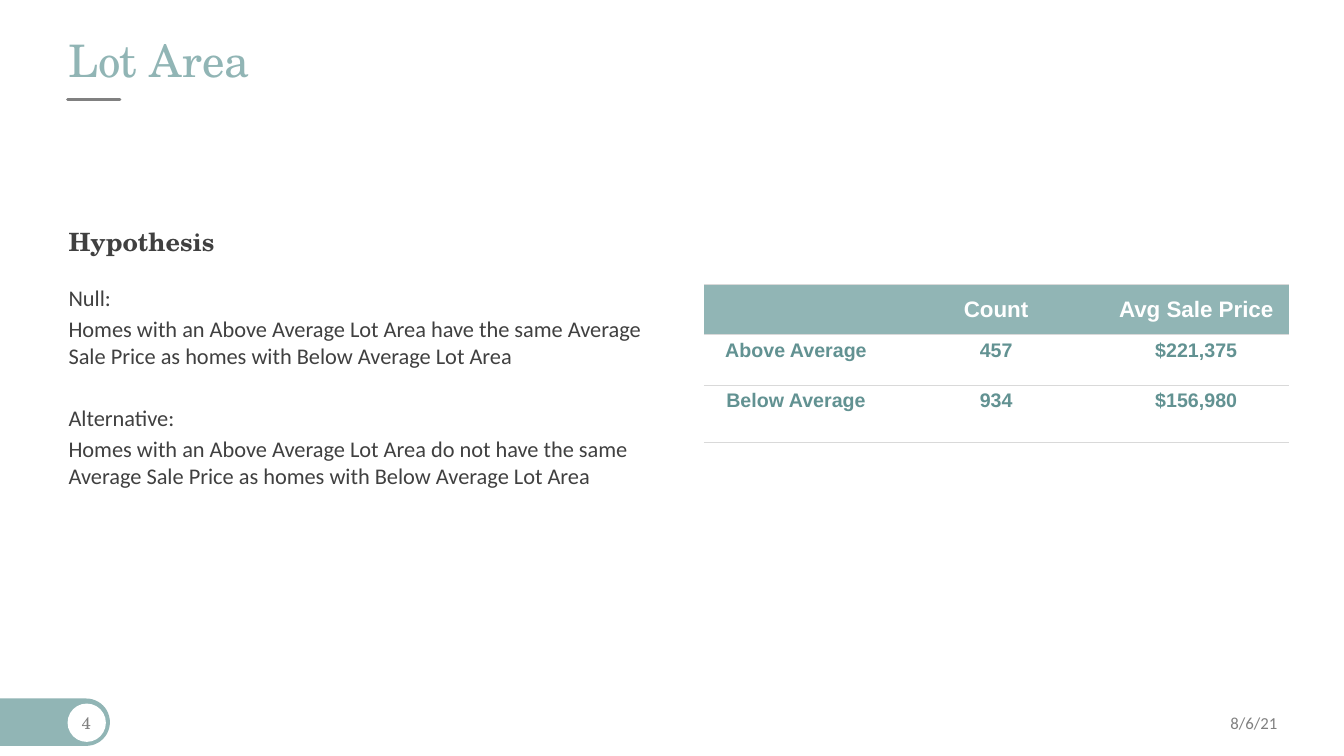
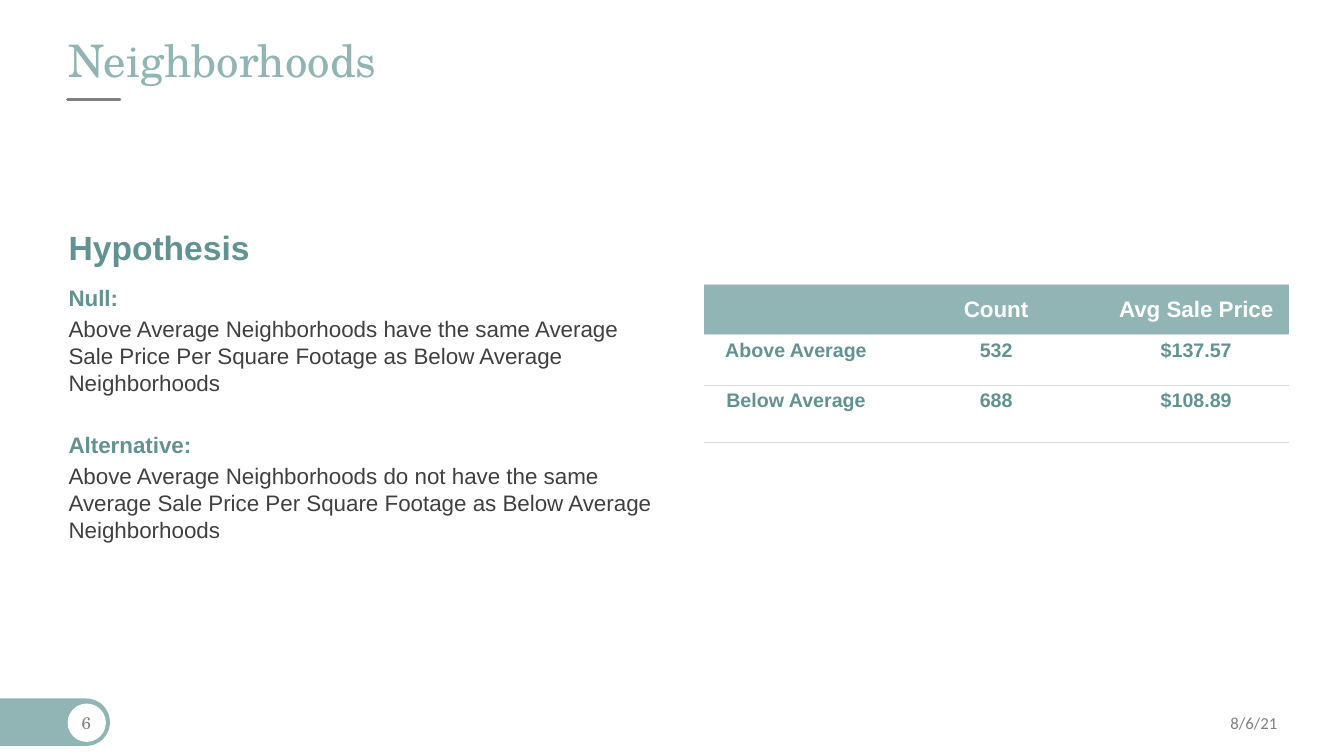
from dataclasses import dataclass

from lxml.etree import SubElement
from pptx import Presentation
from pptx.dml.color import RGBColor
from pptx.enum.shapes import MSO_CONNECTOR as Connector, MSO_SHAPE as Preset
from pptx.enum.text import MSO_ANCHOR as Anchor, PP_ALIGN as Align
from pptx.oxml import parse_xml
from pptx.oxml.ns import nsdecls, qn
from pptx.util import Inches, Pt

# Palette and fonts
TEAL, DARK_TEAL = "91B5B5", "629292"
INK, GRAY, RULE, WHITE = "404040", "808080", "D9D9D9", "FFFFFF"
SERIF, SANS, BODY = "TeX Gyre Schola", "Arial", "Calibri"

# Shared layout
LEFT, CONTENT_TOP = 0.68, 2.82
TABLE_LEFT = 6.98
COLUMN_WIDTHS = (1.83, 2.14, 1.83)
ROW_HEIGHTS = (0.5, 0.5, 0.57)
HEADER = ("", "Count", "Avg Sale Price")
DATE = "8/6/21"
PLAIN_TABLE_STYLE = "{2D5ABB26-0587-4C30-8999-92F81FD0307C}"


@dataclass(frozen=True)
class TextStyle:
    font: str
    size: float
    color: str
    bold: bool = False


@dataclass(frozen=True)
class HypothesisSlide:
    number: int
    title: str
    heading: TextStyle
    label: TextStyle
    statement: TextStyle
    null: str
    alternative: str
    rows: tuple


TITLE = TextStyle(SERIF, 32, TEAL)
PAGE_NUMBER = TextStyle(SERIF, 12, GRAY)
DATE_STYLE = TextStyle(BODY, 12, GRAY)
TABLE_HEADER = TextStyle(SANS, 16, WHITE, True)
TABLE_BODY = TextStyle(SANS, 14, DARK_TEAL, True)

SLIDES = (
    HypothesisSlide(
        4, "Lot Area",
        heading=TextStyle(SERIF, 18, INK, True),
        label=TextStyle(BODY, 16, INK),
        statement=TextStyle(BODY, 16, INK),
        null="Homes with an Above Average Lot Area have the same Average "
             "Sale Price as homes with Below Average Lot Area",
        alternative="Homes with an Above Average Lot Area do not have the same "
                    "Average Sale Price as homes with Below Average Lot Area",
        rows=(("Above Average", "457", "$221,375"),
              ("Below Average", "934", "$156,980")),
    ),
    HypothesisSlide(
        6, "Neighborhoods",
        heading=TextStyle(SANS, 24, DARK_TEAL, True),
        label=TextStyle(SANS, 16, DARK_TEAL, True),
        statement=TextStyle(SANS, 16, INK),
        null="Above Average Neighborhoods have the same Average Sale Price "
             "Per Square Footage as Below Average Neighborhoods",
        alternative="Above Average Neighborhoods do not have the same Average Sale "
                    "Price Per Square Footage as Below Average Neighborhoods",
        rows=(("Above Average", "532", "$137.57"),
              ("Below Average", "688", "$108.89")),
    ),
)


def rgb(color: str) -> RGBColor:
    return RGBColor.from_string(color)


def write(paragraph, text: str, style: TextStyle, align=Align.LEFT) -> None:
    paragraph.text = text
    paragraph.alignment = align
    for run in paragraph.runs:
        run.font.name = style.font
        run.font.size = Pt(style.size)
        run.font.bold = style.bold
        run.font.color.rgb = rgb(style.color)


def add_text(slide, box: tuple, lines: list, align=Align.LEFT,
             anchor=Anchor.TOP, wrap: bool = True):
    """Add a text box without margins; lines are (text, style) pairs."""
    frame = slide.shapes.add_textbox(*map(Inches, box)).text_frame
    frame.margin_left = frame.margin_right = 0
    frame.margin_top = frame.margin_bottom = 0
    frame.word_wrap = wrap
    frame.vertical_anchor = anchor
    frame.text = "\n".join(text for text, _ in lines)
    for paragraph, (text, style) in zip(frame.paragraphs, lines):
        write(paragraph, text, style, align)
    return frame


def add_filled(slide, preset, box: tuple, color: str):
    shape = slide.shapes.add_shape(preset, *map(Inches, box))
    shape.shadow.inherit = False
    shape.fill.solid()
    shape.fill.fore_color.rgb = rgb(color)
    shape.line.fill.background()
    return shape


def add_frame(slide, title: str, number: int) -> None:
    """Draw the title, its rule and the footer."""
    # Footer tab with page number circle
    tab = add_filled(slide, Preset.ROUND_2_SAME_RECTANGLE, (0.31, 6.62, 0.47, 1.09), TEAL)
    tab.adjustments[0], tab.adjustments[1] = 0.5, 0
    tab.rotation = 90
    add_filled(slide, Preset.OVAL, (0.67, 6.98, 0.38, 0.38), WHITE)

    # Rule under the title
    rule = slide.shapes.add_connector(
        Connector.STRAIGHT, Inches(0.67), Inches(0.99), Inches(1.19), Inches(0.99))
    rule.line.color.rgb = rgb(GRAY)
    rule.line.width = Pt(2)
    properties = rule._element.spPr
    properties.find(qn("a:ln")).set("cap", "rnd")
    SubElement(properties, qn("a:effectLst"))

    # Title, date and page number
    title_frame = add_text(slide, (LEFT, 0.1, 11.97, 0.77), [(title, TITLE)],
                           anchor=Anchor.BOTTOM)
    title_frame.paragraphs[0].line_spacing = 0.9
    add_text(slide, (11.55, 7.07, 1.12, 0.2), [(DATE, DATE_STYLE)],
             Align.RIGHT, Anchor.MIDDLE)
    add_text(slide, (0.81, 7.07, 0.09, 0.2), [(str(number), PAGE_NUMBER)],
             Align.CENTER, Anchor.MIDDLE, wrap=False)


def add_hypothesis(slide, content: HypothesisSlide) -> None:
    add_text(slide, (LEFT, 2.25, 2.88, 0.4), [("Hypothesis", content.heading)])
    frame = add_text(slide, (LEFT, CONTENT_TOP, 5.82, 2.59), [
        ("Null:", content.label),
        (content.null, content.statement),
        ("Alternative:", content.label),
        (content.alternative, content.statement),
    ])
    for paragraph in frame.paragraphs:
        paragraph.space_after = Pt(3)
    frame.paragraphs[2].space_before = Pt(22)


def set_borders(cell) -> None:
    """Rule the cell above and below."""
    properties = cell._tc.get_or_add_tcPr()
    for index, side in enumerate(("lnT", "lnB")):
        properties.insert(index, parse_xml(
            f'<a:{side} {nsdecls("a")} w="{Pt(0.5)}"><a:solidFill>'
            f'<a:srgbClr val="{RULE}"/></a:solidFill></a:{side}>'))


def add_price_table(slide, rows: tuple) -> None:
    grid = (HEADER, *rows)
    graphic = slide.shapes.add_table(
        len(grid), len(HEADER), Inches(TABLE_LEFT), Inches(CONTENT_TOP),
        Inches(sum(COLUMN_WIDTHS)), Inches(sum(ROW_HEIGHTS)))
    table = graphic.table
    table.horz_banding = False
    table._tbl.tblPr.find(qn("a:tableStyleId")).text = PLAIN_TABLE_STYLE
    for column, width in zip(table.columns, COLUMN_WIDTHS):
        column.width = Inches(width)
    for row, height in zip(table.rows, ROW_HEIGHTS):
        row.height = Inches(height)
    for row_index, values in enumerate(grid):
        is_header = row_index == 0
        for column_index, value in enumerate(values):
            cell = table.cell(row_index, column_index)
            cell.fill.solid()
            cell.fill.fore_color.rgb = rgb(TEAL if is_header else WHITE)
            cell.vertical_anchor = Anchor.MIDDLE if is_header else Anchor.TOP
            write(cell.text_frame.paragraphs[0], value,
                  TABLE_HEADER if is_header else TABLE_BODY, Align.CENTER)
            set_borders(cell)


def main() -> None:
    presentation = Presentation()
    presentation.slide_width = Inches(13.33)
    presentation.slide_height = Inches(7.5)
    blank = presentation.slide_layouts[6]
    for content in SLIDES:
        slide = presentation.slides.add_slide(blank)
        add_frame(slide, content.title, content.number)
        add_hypothesis(slide, content)
        add_price_table(slide, content.rows)
    presentation.save("out.pptx")


if __name__ == "__main__":
    main()
